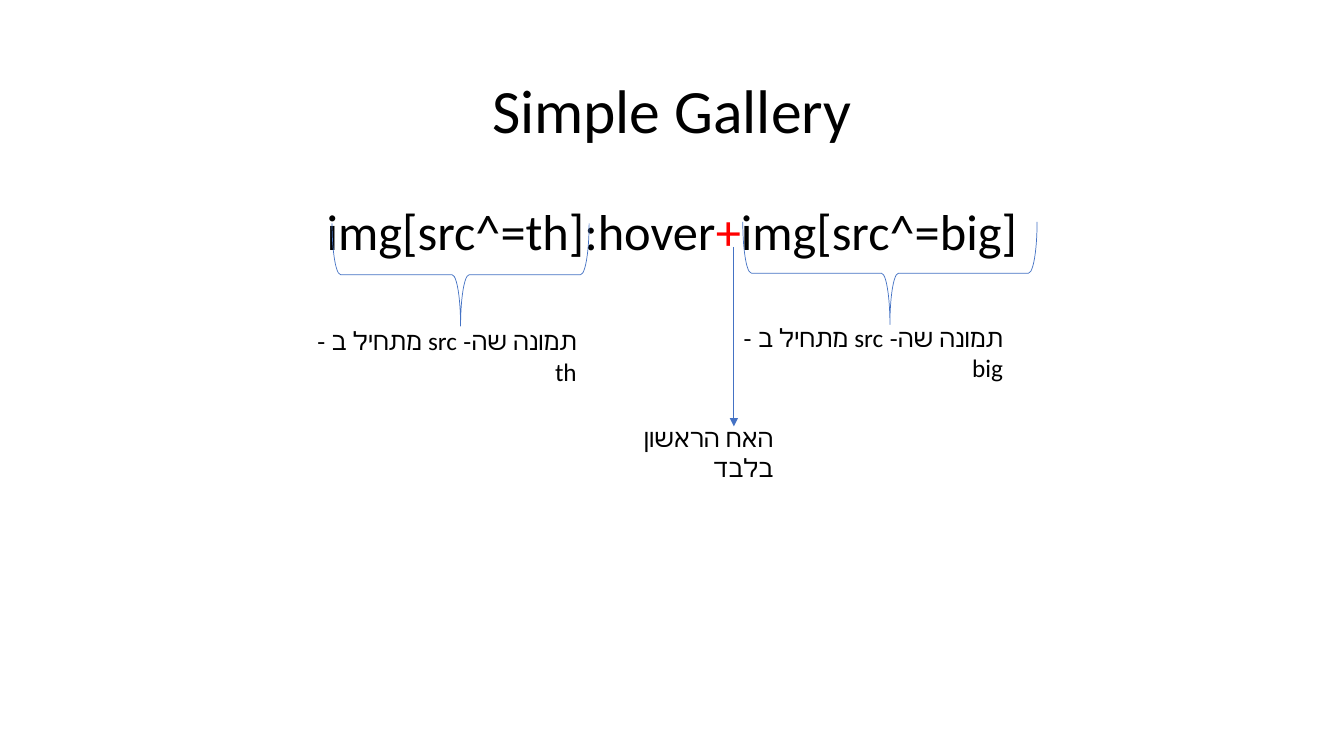
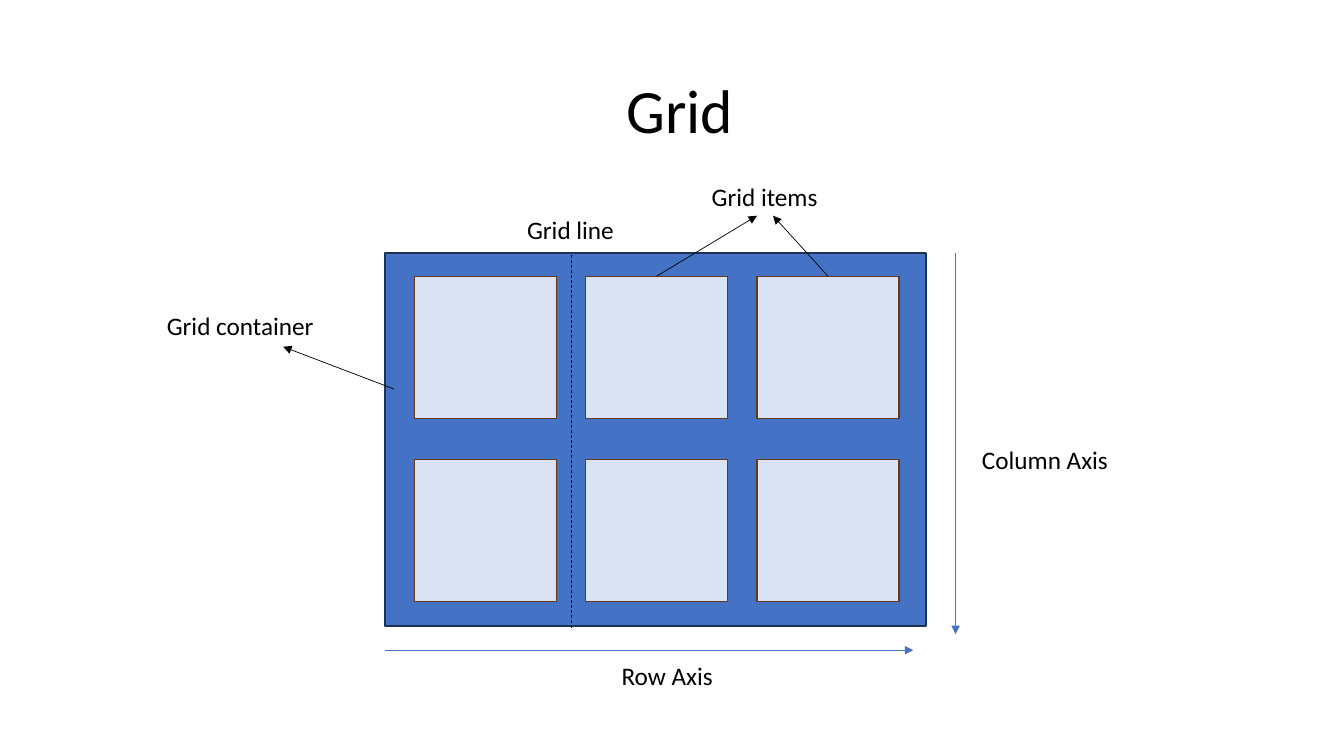
from lxml import etree
from pptx import Presentation
from pptx.dml.color import RGBColor
from pptx.enum import dml, shapes, text
from pptx.oxml.ns import qn
from pptx.util import Pt

COLORS = {
    "text": "000000",
    "accent": "4472C4",
    "plus": "FF0000",
    "container_edge": "1E3256",
    "item": "DAE3F3",
    "item_edge": "683715",
}
FONT = "Calibri"
TITLE_FRAME = (66, 28.8, 828, 104.4)
LABEL_HEIGHT = 29


def write(box, spans, size, align, rtl=True, wrap=True):
    """Fill a box with one paragraph of (wording, colour name) spans."""
    frame = box.text_frame
    frame.word_wrap = wrap
    para = frame.paragraphs[0]
    para.alignment = align
    if rtl:
        para._p.get_or_add_pPr().set("rtl", "1")
    for wording, color in spans:
        span = para.add_run()
        span.text = wording
        span.font.name = FONT
        span.font.size = Pt(size)
        span.font.color.rgb = RGBColor.from_string(COLORS[color])
    return para


def draw_line(page, start, end, color, arrow=True):
    line = page.shapes.add_connector(
        shapes.MSO_CONNECTOR.STRAIGHT, *map(Pt, start + end))
    line.line.color.rgb = RGBColor.from_string(COLORS[color])
    line.line.width = Pt(0.5)
    properties = line._element.spPr
    if arrow:
        tail = etree.SubElement(properties.find(qn("a:ln")), qn("a:tailEnd"))
        tail.set("type", "triangle")
    etree.SubElement(properties, qn("a:effectLst"))
    return line


deck = Presentation()
deck.slide_width, deck.slide_height = Pt(960), Pt(540)

pages = []
for heading in ("Simple Gallery", "Grid "):
    page = deck.slides.add_slide(deck.slide_layouts[5])
    title = page.shapes.title
    title.left, title.top, title.width, title.height = map(Pt, TITLE_FRAME)
    title.text_frame.vertical_anchor = text.MSO_ANCHOR.MIDDLE
    para = write(title, [(heading, "text")], 44, text.PP_ALIGN.CENTER)
    para.line_spacing = 0.9
    pages.append(page)
gallery, grid = pages

# Selector and its explanation
selector = gallery.shapes.add_textbox(Pt(66), Pt(144), Pt(828), Pt(60))
para = write(
    selector,
    [("img[src^=th]:hover", "text"), ("+", "plus"), ("img[src^=big]", "text")],
    36, text.PP_ALIGN.CENTER, rtl=False)
para.line_spacing = 0.9

for left, top, width, height in ((292.3, 104.4, 73.4, 183.6),
                                 (599, 90, 73.4, 210.2)):
    brace = gallery.shapes.add_shape(
        shapes.MSO_SHAPE.LEFT_BRACE, Pt(left), Pt(top), Pt(width), Pt(height))
    brace.rotation = 270
    brace.shadow.inherit = False
    brace.fill.background()
    brace.line.color.rgb = RGBColor.from_string(COLORS["accent"])
    brace.line.width = Pt(0.5)

draw_line(gallery, (524.2, 176.4), (524.2, 304.6), "accent")

for wording, left, top, width in (
        ("תמונה שה- src מתחיל ב - th", 216, 229, 203),
        ("תמונה שה- src מתחיל ב - big", 520.5, 226.8, 203),
        ("האח הראשון בלבד", 448.5, 298, 111)):
    note = gallery.shapes.add_textbox(Pt(left), Pt(top), Pt(width), Pt(51))
    write(note, [(wording, "text")], 18, text.PP_ALIGN.RIGHT)

# Container with two rows of three items
item_size, column_step, row_step = 101.5, 122.4, 131
frames = [(275, 180.7, 386.6, 266.4, "accent", "container_edge")]
for row in range(2):
    for column in range(3):
        frames.append((295.9 + column * column_step, 197.3 + row * row_step,
                       item_size, item_size, "item", "item_edge"))
rectangles = []
for left, top, width, height, fill, edge in frames:
    rectangle = grid.shapes.add_shape(
        shapes.MSO_SHAPE.RECTANGLE, Pt(left), Pt(top), Pt(width), Pt(height))
    rectangle.shadow.inherit = False
    rectangle.fill.solid()
    rectangle.fill.fore_color.rgb = RGBColor.from_string(COLORS[fill])
    rectangle.line.color.rgb = RGBColor.from_string(COLORS[edge])
    rectangle.line.width = Pt(1)
    rectangles.append(rectangle)
items = rectangles[1:]

# Axes, grid line and pointers
draw_line(grid, (682.6, 180.7), (682.6, 452.9), "accent")
draw_line(grid, (275, 464.4), (652.3, 464.4), "accent")
draw_line(grid, (281.5, 277.9), (202.3, 247.7), "text")
for item, tip in ((items[1], 540.7), (items[2], 552.2)):
    pointer = draw_line(grid, (tip, 197.3), (tip, 154.1), "text")
    pointer.begin_connect(item, 0)
grid_line = draw_line(grid, (408.2, 182.2), (408.2, 448.6), "text", arrow=False)
grid_line.line.dash_style = dml.MSO_LINE.DASH

for wording, left, top, width in (
        ("Column Axis", 693.4, 313.9, 105.1),
        ("Row Axis", 436.3, 468, 79.9),
        ("Grid container", 110.9, 218.2, 120.2),
        ("Grid items", 500.4, 126, 90.7),
        ("Grid line", 368.6, 149.8, 77)):
    label = grid.shapes.add_textbox(
        Pt(left), Pt(top), Pt(width), Pt(LABEL_HEIGHT))
    write(label, [(wording, "text")], 18, text.PP_ALIGN.RIGHT, wrap=False)

deck.save("out.pptx")
